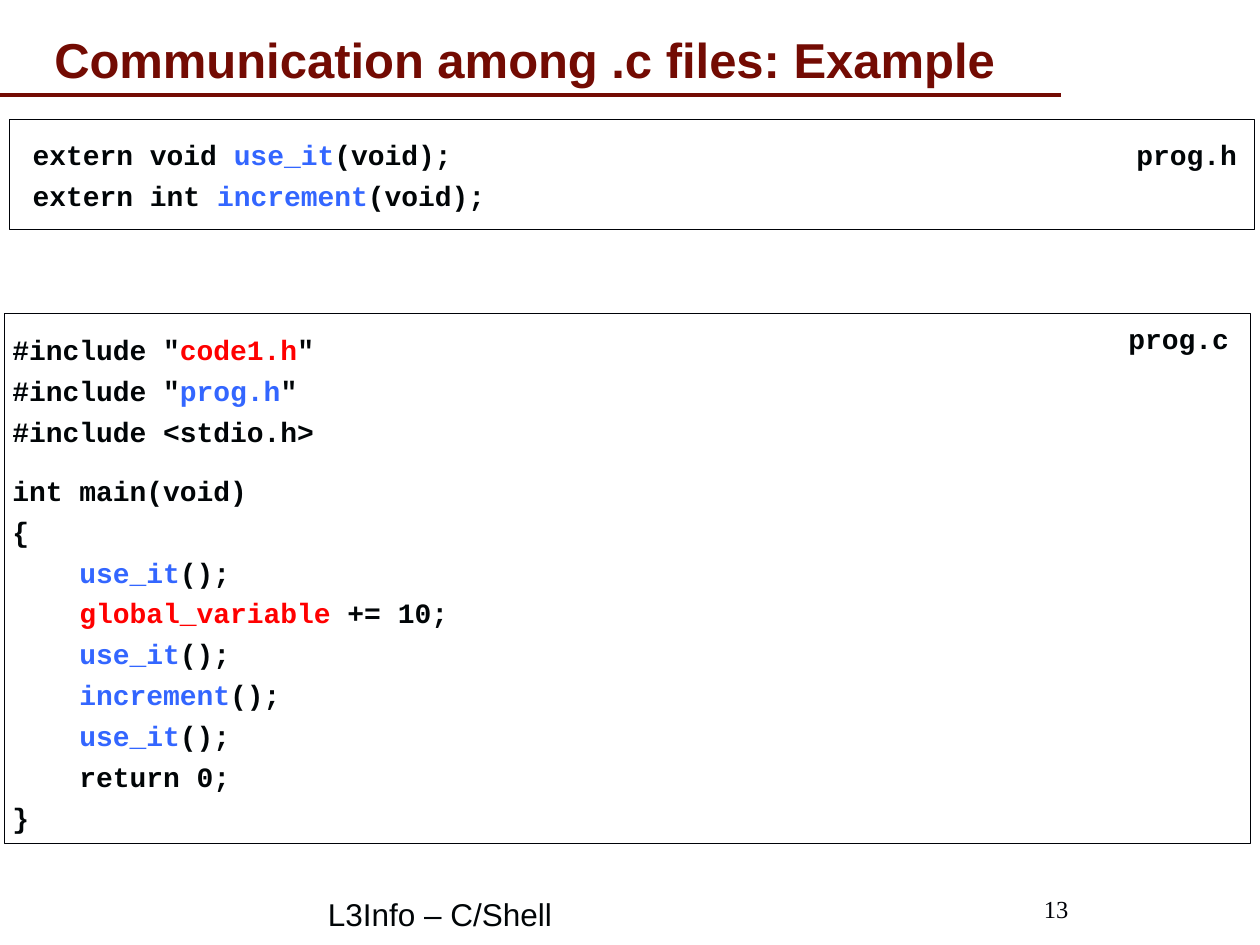
from lxml.etree import SubElement
from pptx import Presentation
from pptx.dml.color import RGBColor
from pptx.enum.shapes import MSO_CONNECTOR, MSO_SHAPE
from pptx.enum.text import MSO_ANCHOR, MSO_AUTO_SIZE, PP_ALIGN
from pptx.oxml.ns import qn
from pptx.util import Cm, Pt

MAROON, INK, BLUE, RED = "730B03", "010507", "3366FF", "FF0000"
TITLE = "Communication among .c files: Example"
FOOTER, PAGE_NUMBER = "L3Info – C/Shell", "13"

# Each code line is a list of (text, colour) pieces.
USE_IT = [("    ", INK), ("use_it", BLUE), ("();", INK)]
HEADER_CODE = [
    [("extern void ", INK), ("use_it", BLUE), ("(void);", INK)],
    [("extern int ", INK), ("increment", BLUE), ("(void);", INK)],
]
INCLUDES = [
    [('#include "', INK), ("code1.h", RED), ('"', INK)],
    [('#include "', INK), ("prog.h", BLUE), ('"', INK)],
    [("#include <stdio.h>", INK)],
]
MAIN_CODE = [
    [("int main(void)", INK)],
    [("{", INK)],
    USE_IT,
    [("    ", INK), ("global_variable", RED), (" += 10;", INK)],
    USE_IT,
    [("    increment", BLUE), ("();", INK)],
    USE_IT,
    [("    return 0;", INK)],
    [("}", INK)],
]

# Frames and text boxes: left, top, width, height in cm.
FRAMES = [(0.2, 2.41, 25.1, 2.21), (0.1, 6.32, 25.1, 10.69)]
CODE_BOXES = [
    ((0.41, 2.64, 24.5, 1.75), [HEADER_CODE]),
    ((0, 6.58, 25.2, 10.2), [INCLUDES, MAIN_CODE]),
]
FILE_LABELS = [("prog.h", (22.66, 2.64, 2.57, 0.94)), ("prog.c", (22.5, 6.35, 2.57, 0.94))]
LINE_GAP, BLOCK_GAP = 4.2, 14.4


def color(hex_code):
    return RGBColor.from_string(hex_code)


def write(para, text, font="Courier New", size=16, bold=True, ink=INK):
    span = para.add_run()
    span.text = text
    span.font.name = font
    span.font.size = Pt(size)
    span.font.bold = bold
    span.font.color.rgb = color(ink)


def add_box(page, area, anchor=MSO_ANCHOR.TOP, wrap=True):
    frame = page.shapes.add_textbox(*map(Cm, area)).text_frame
    frame.word_wrap = wrap
    frame.vertical_anchor = anchor
    return frame


def add_code(page, area, blocks):
    """Write blocks of code lines, with a wider gap between blocks."""
    frame = add_box(page, area)
    for block_index, block in enumerate(blocks):
        for line_index, line in enumerate(block):
            if block_index == line_index == 0:
                para = frame.paragraphs[0]
            else:
                para = frame.add_paragraph()
                para.space_before = Pt(LINE_GAP if line_index else BLOCK_GAP)
            for text, ink in line:
                write(para, text, ink=ink)


def add_title(page):
    title = page.shapes.title
    title.left, title.top, title.width, title.height = map(Cm, (0.84, 0.43, 23.65, 1.47))
    frame = title.text_frame
    frame.auto_size = MSO_AUTO_SIZE.NONE
    frame.vertical_anchor = MSO_ANCHOR.BOTTOM
    frame.paragraphs[0].alignment = PP_ALIGN.LEFT
    write(frame.paragraphs[0], TITLE, font="Arial", size=28, ink=MAROON)
    rule = page.shapes.add_connector(MSO_CONNECTOR.STRAIGHT, 0, Cm(1.91), Cm(21.39), Cm(1.91))
    rule.line.color.rgb = color(MAROON)
    rule.line.width = Pt(2.25)
    SubElement(rule._element.spPr, qn("a:effectLst"))


def main():
    deck = Presentation()
    deck.slide_width, deck.slide_height = Cm(25.4), Cm(19.05)
    page = deck.slides.add_slide(deck.slide_layouts[5])
    add_title(page)

    for area in FRAMES:
        border = page.shapes.add_shape(MSO_SHAPE.RECTANGLE, *map(Cm, area))
        border.shadow.inherit = False
        border.fill.background()
        border.line.color.rgb = color("000208")
        border.line.width = Pt(0.5)
    for area, blocks in CODE_BOXES:
        add_code(page, area, blocks)
    for name, area in FILE_LABELS:
        write(add_box(page, area, wrap=False).paragraphs[0], name)

    footer = add_box(page, (6.36, 17.78, 5.2, 1.27), MSO_ANCHOR.MIDDLE)
    write(footer.paragraphs[0], FOOTER, font="Arial", size=18, bold=False)
    number = add_box(page, (17.6, 17.78, 4.19, 1.07), MSO_ANCHOR.MIDDLE)
    number.paragraphs[0].alignment = PP_ALIGN.RIGHT
    write(number.paragraphs[0], PAGE_NUMBER, font="Times New Roman", size=14, bold=False, ink="000208")
    deck.save("out.pptx")


if __name__ == "__main__":
    main()
